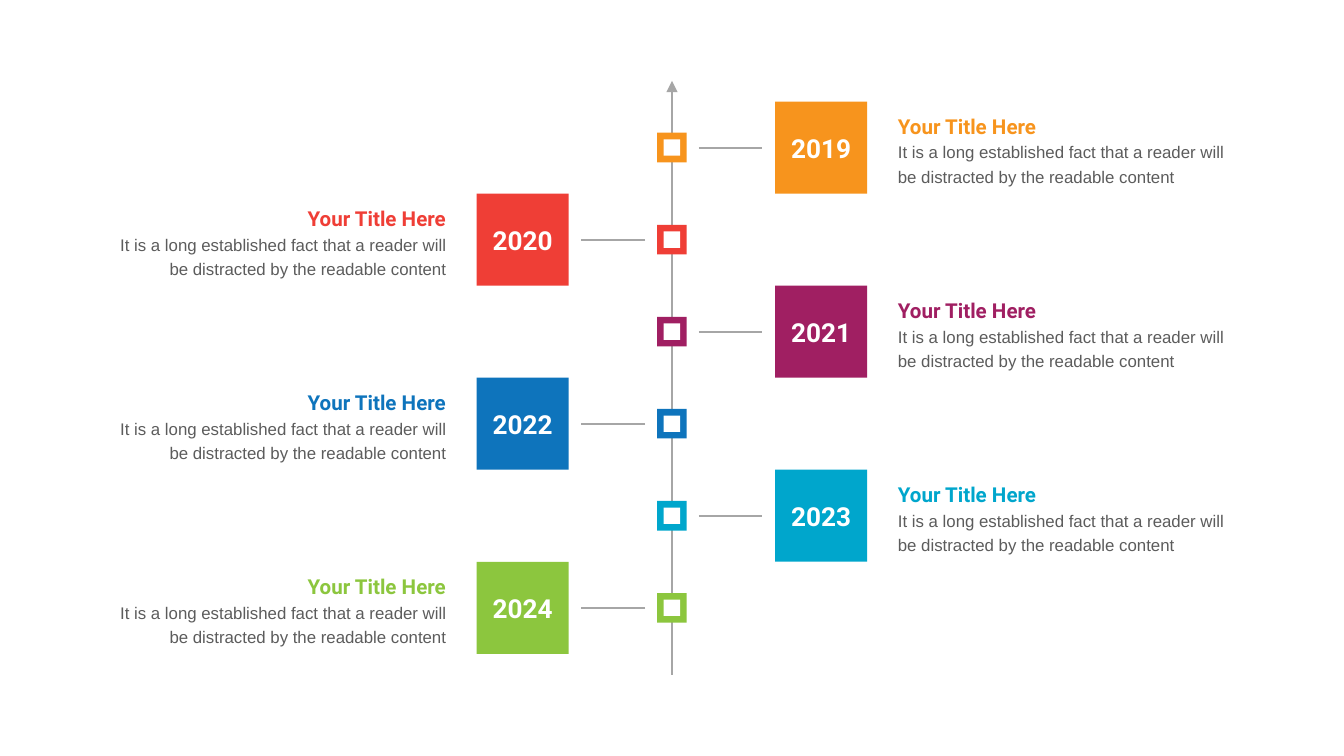
"""Build a vertical timeline slide with milestones alternating right and left."""
from pptx import Presentation
from pptx.dml.color import RGBColor
from pptx.enum.shapes import MSO_CONNECTOR, MSO_SHAPE
from pptx.enum.text import MSO_ANCHOR, MSO_AUTO_SIZE, PP_ALIGN
from pptx.oxml.ns import qn
from pptx.util import Cm, Pt
from lxml import etree

RECTANGLE = MSO_SHAPE.RECTANGLE
STRAIGHT = MSO_CONNECTOR.STRAIGHT
MIDDLE = MSO_ANCHOR.MIDDLE
FIT_SHAPE = MSO_AUTO_SIZE.SHAPE_TO_FIT_TEXT
LEFT, CENTER, RIGHT = PP_ALIGN.LEFT, PP_ALIGN.CENTER, PP_ALIGN.RIGHT

COLORS = {
    "orange": "F7941D",
    "red": "EF3E36",
    "purple": "A01F62",
    "blue": "0E74BC",
    "cyan": "00A6CC",
    "green": "8CC63E",
    "line": "A6A6A6",
    "body": "5C5C5C",
    "white": "FFFFFF",
}
TITLE = "Your Title Here"
BODY = "It is a long established fact that a reader will be distracted by the readable content"
MILESTONES = [
    ("2019", TITLE, BODY, "orange"),
    ("2020", TITLE, BODY, "red"),
    ("2021", TITLE, BODY, "purple"),
    ("2022", TITLE, BODY, "blue"),
    ("2023", TITLE, BODY, "cyan"),
    ("2024", TITLE, BODY, "green"),
]

SLIDE_WIDTH, SLIDE_HEIGHT = 25.4, 14.29
AXIS_X, AXIS_TOP, AXIS_BOTTOM = SLIDE_WIDTH / 2, 1.53, 12.75
FIRST_Y, STEP = 2.79, 1.74
TILE_SIZE, TILE_OFFSET = STEP, 2.82
MARKER_SIZE, HOLE_SIZE = 0.56, 0.31
BRANCH_START, BRANCH_END = 0.51, 1.71
TEXT_WIDTH, TEXT_HEIGHT, TEXT_OFFSET = 6.32, 1.5, 7.43


def centered(x, y, width, height):
    return Cm(x - width / 2), Cm(y - height / 2), Cm(width), Cm(height)


def style_font(paragraph, name, size, color, bold):
    font = paragraph.runs[0].font
    font.name, font.size, font.bold = name, Pt(size), bold
    font.color.rgb = RGBColor.from_string(COLORS[color])


def prepare_frame(text_frame):
    text_frame.word_wrap = True
    text_frame.vertical_anchor = MIDDLE
    text_frame.margin_left = text_frame.margin_right = 0
    text_frame.margin_top = text_frame.margin_bottom = 0


def add_square(shapes, x, y, size, color):
    shape = shapes.add_shape(RECTANGLE, *centered(x, y, size, size))
    shape.shadow.inherit = False
    shape.fill.solid()
    shape.fill.fore_color.rgb = RGBColor.from_string(COLORS[color])
    shape.line.fill.background()
    return shape


def add_line(shapes, x1, y1, x2, y2, arrow=False):
    connector = shapes.add_connector(STRAIGHT, Cm(x1), Cm(y1), Cm(x2), Cm(y2))
    connector.line.color.rgb = RGBColor.from_string(COLORS["line"])
    connector.line.width = Pt(1)
    properties = connector._element.spPr
    if arrow:
        etree.SubElement(properties.find(qn("a:ln")), qn("a:headEnd"), type="triangle")
    etree.SubElement(properties, qn("a:effectLst"))


def add_description(shapes, x, y, title, body, color, alignment):
    text_box = shapes.add_textbox(*centered(x, y, TEXT_WIDTH, TEXT_HEIGHT))
    text_frame = text_box.text_frame
    prepare_frame(text_frame)
    text_frame.auto_size = FIT_SHAPE
    text_frame.text = f"{title}\n{body}"
    heading, detail = text_frame.paragraphs
    style_font(heading, "Roboto", 11, color, True)
    style_font(detail, "Arial", 9, "body", False)
    for paragraph in text_frame.paragraphs:
        paragraph.alignment = alignment
        paragraph.line_spacing = 1.2


def add_milestone(shapes, index, year, title, body, color):
    side, alignment = (-1, RIGHT) if index % 2 else (1, LEFT)
    y = FIRST_Y + index * STEP
    add_description(shapes, AXIS_X + side * TEXT_OFFSET, y, title, body, color, alignment)

    tile = add_square(shapes, AXIS_X + side * TILE_OFFSET, y, TILE_SIZE, color)
    prepare_frame(tile.text_frame)
    tile.text_frame.text = year
    paragraph = tile.text_frame.paragraphs[0]
    paragraph.alignment = CENTER
    style_font(paragraph, "Roboto", 14, "white", True)

    marker = shapes.add_group_shape()
    add_square(marker.shapes, AXIS_X, y, MARKER_SIZE, color)
    add_square(marker.shapes, AXIS_X, y, HOLE_SIZE, "white")
    add_line(shapes, AXIS_X + side * BRANCH_START, y, AXIS_X + side * BRANCH_END, y)


def main():
    presentation = Presentation()
    presentation.slide_width = Cm(SLIDE_WIDTH)
    presentation.slide_height = Cm(SLIDE_HEIGHT)
    slide = presentation.slides.add_slide(presentation.slide_layouts[6])
    add_line(slide.shapes, AXIS_X, AXIS_TOP, AXIS_X, AXIS_BOTTOM, arrow=True)
    for index, milestone in enumerate(MILESTONES):
        add_milestone(slide.shapes, index, *milestone)
    presentation.save("out.pptx")


if __name__ == "__main__":
    main()
